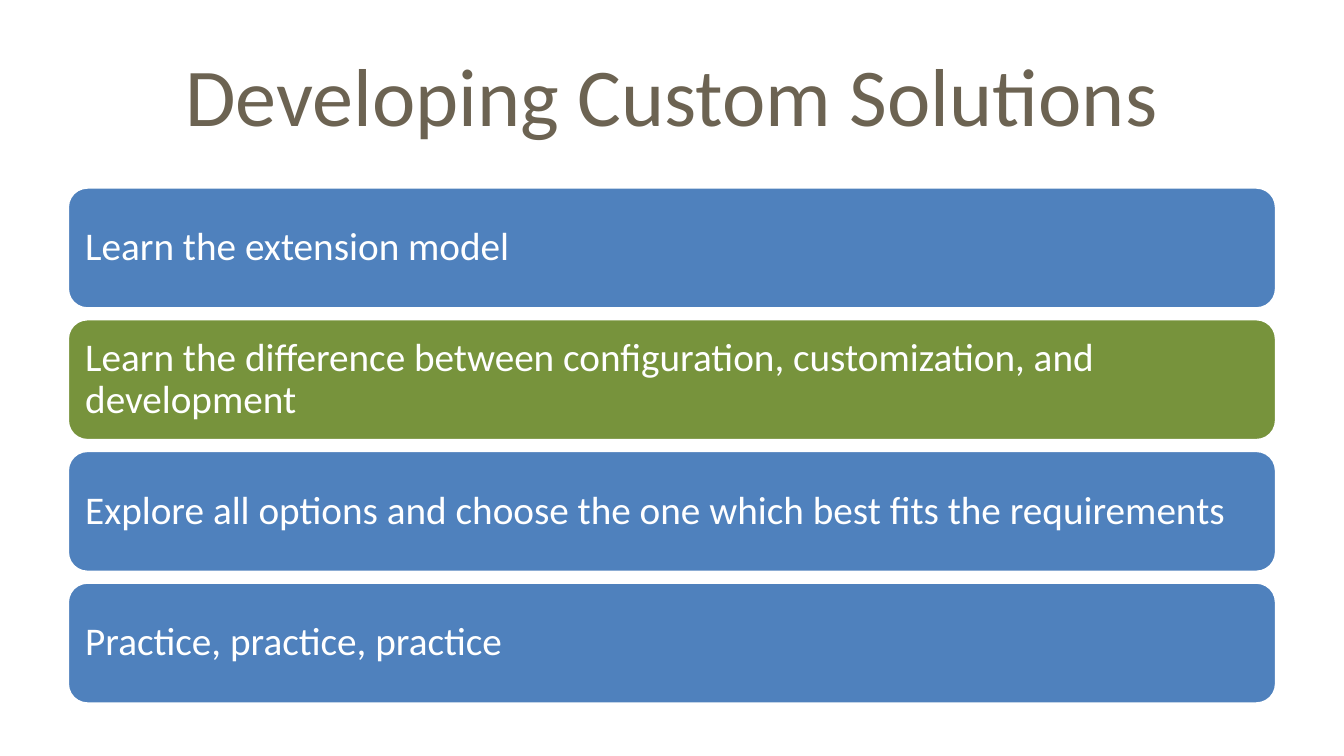
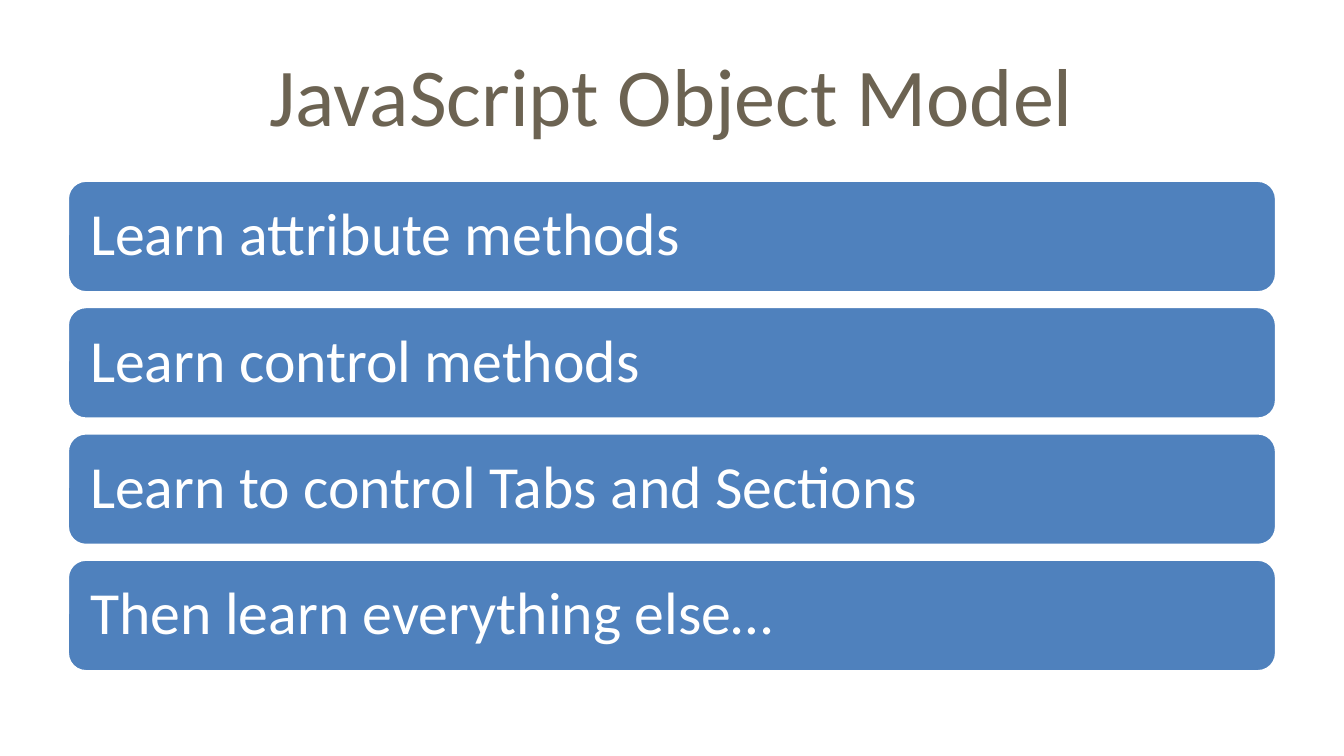
from pptx import Presentation
from pptx.dml.color import RGBColor
from pptx.enum.shapes import MSO_SHAPE
from pptx.enum.text import MSO_ANCHOR, PP_ALIGN
from pptx.util import Inches, Pt

# Shared style
FONT = "Calibri"
WHITE = "FFFFFF"
TITLE_BROWN = "6C6352"
BLUE = "4F81BD"
GREEN = "77933C"
LEFT, WIDTH = 0.5, 9


def color(hex_string):
    return RGBColor.from_string(hex_string)


class Deck:
    def __init__(self):
        self.presentation = Presentation()
        # Widescreen, 16:9
        self.presentation.slide_width = Inches(10)
        self.presentation.slide_height = Inches(10 * 9 / 16)
        self.slide = None

    def add_slide(self, title):
        blank = self.presentation.slide_layouts[6]
        self.slide = self.presentation.slides.add_slide(blank)
        self.slide.background.fill.solid()
        self.slide.background.fill.fore_color.rgb = color(WHITE)
        self.add_title(title)

    def set_text(self, shape, text, size, text_color, alignment):
        frame = shape.text_frame
        frame.word_wrap = True
        frame.vertical_anchor = MSO_ANCHOR.MIDDLE
        paragraph = frame.paragraphs[0]
        paragraph.text = text
        paragraph.alignment = alignment
        paragraph.font.name = FONT
        paragraph.font.size = Pt(size)
        paragraph.font.color.rgb = color(text_color)
        return paragraph

    def add_title(self, text):
        shape = self.slide.shapes.add_textbox(
            Inches(LEFT), Inches(0.23), Inches(WIDTH), Inches(0.94))
        self.set_text(shape, text, 44, TITLE_BROWN, PP_ALIGN.CENTER)

    def add_bar(self, text, top, height, size, inset, fill):
        shape = self.slide.shapes.add_shape(
            MSO_SHAPE.ROUNDED_RECTANGLE,
            Inches(LEFT), Inches(top), Inches(WIDTH), Inches(height))
        shape.shadow.inherit = False
        shape.fill.solid()
        shape.fill.fore_color.rgb = color(fill)
        shape.line.color.rgb = color(WHITE)
        shape.line.width = Pt(2)
        frame = shape.text_frame
        frame.margin_left = frame.margin_right = Inches(inset)
        frame.margin_top = frame.margin_bottom = Inches(inset)
        paragraph = self.set_text(shape, text, size, WHITE, PP_ALIGN.LEFT)
        paragraph.line_spacing = 0.9

    def add_bar_list(self, texts, top, height, gap, size, inset, highlight=None):
        for index, text in enumerate(texts):
            fill = GREEN if index == highlight else BLUE
            bar_top = top + index * (height + gap)
            self.add_bar(text, bar_top, height, size, inset, fill)


def main():
    deck = Deck()

    # Slide 1: advice on custom solutions
    deck.add_slide("Developing Custom Solutions")
    deck.add_bar_list(
        ["Learn the extension model",
         "Learn the difference between configuration, customization, and development",
         "Explore all options and choose the one which best fits the requirements",
         "Practice, practice, practice"],
        top=1.39, height=0.91, gap=0.07, size=21, inset=0.09, highlight=1)

    # Slide 2: what to learn in the object model
    deck.add_slide("JavaScript Object Model")
    deck.add_bar_list(
        ["Learn attribute methods",
         "Learn control methods",
         "Learn to control Tabs and Sections",
         "Then learn everything else…"],
        top=1.34, height=0.84, gap=0.1, size=32, inset=0.13)

    deck.presentation.save("out.pptx")


if __name__ == "__main__":
    main()
